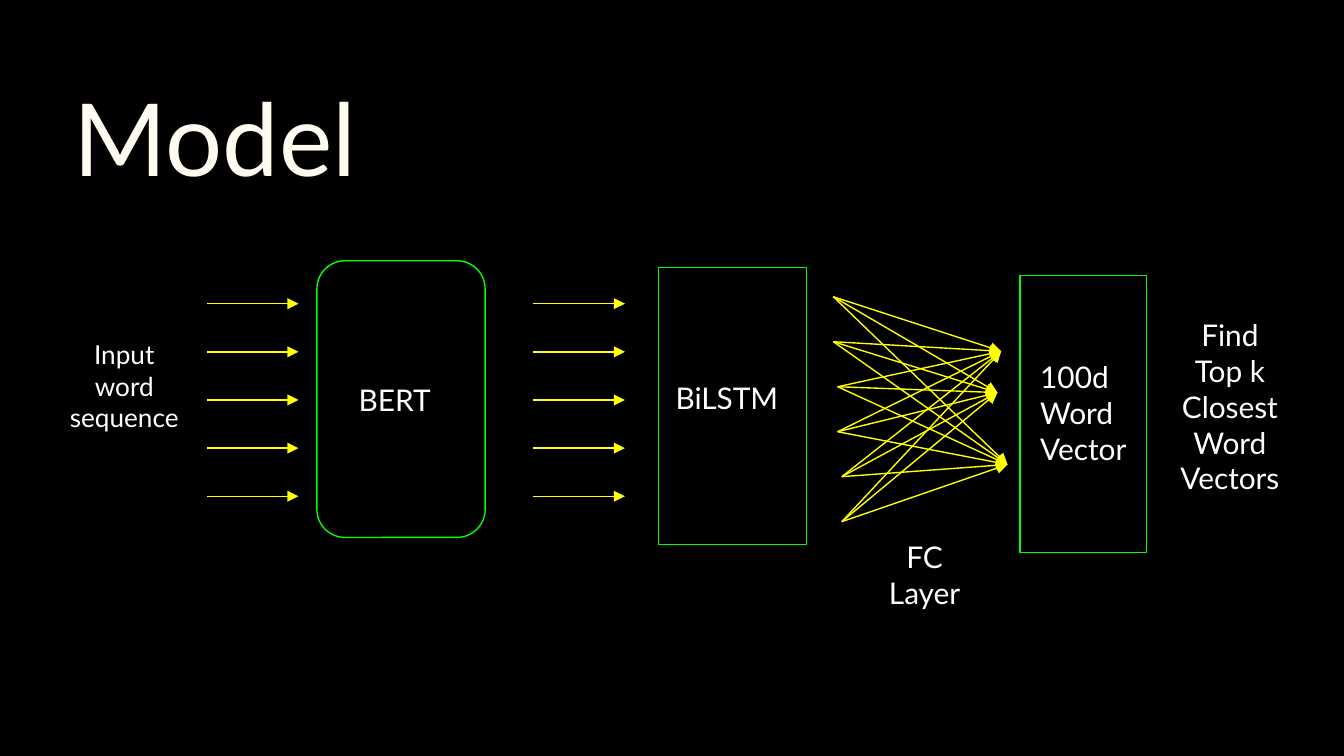
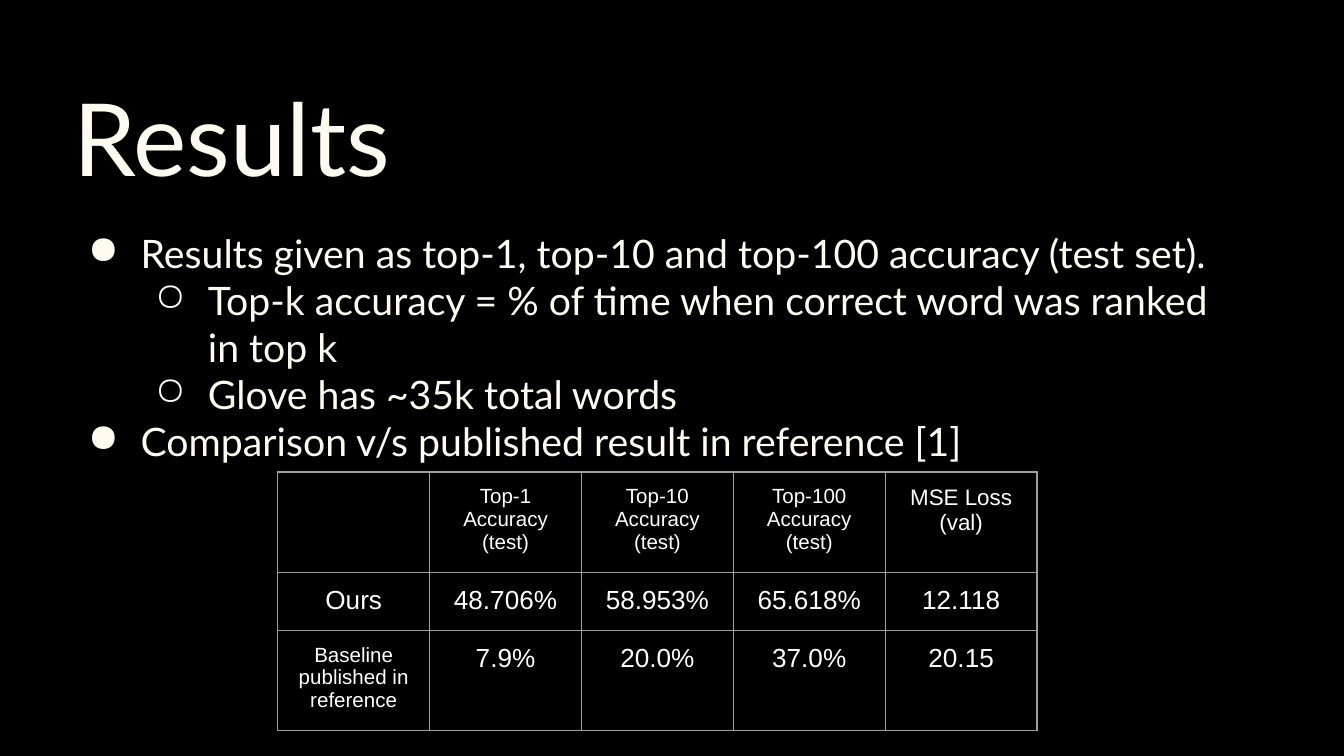
from lxml import etree
from pptx import Presentation
from pptx.dml.color import RGBColor
from pptx.enum.shapes import MSO_CONNECTOR, MSO_SHAPE
from pptx.enum.text import MSO_ANCHOR, MSO_AUTO_SIZE, PP_ALIGN
from pptx.oxml.ns import qn
from pptx.util import Cm, Pt

STRAIGHT = MSO_CONNECTOR.STRAIGHT
RECTANGLE, ROUNDED = MSO_SHAPE.RECTANGLE, MSO_SHAPE.ROUNDED_RECTANGLE
MIDDLE = MSO_ANCHOR.MIDDLE
NO_FIT, GROW = MSO_AUTO_SIZE.NONE, MSO_AUTO_SIZE.SHAPE_TO_FIT_TEXT
LEFT, CENTER = PP_ALIGN.LEFT, PP_ALIGN.CENTER

BLACK, WHITE, CREAM = "000000", "FFFFFF", "FFFBF0"
GREEN, YELLOW, GREY = "00FF00", "FFFF00", "9E9E9E"
LATO, ARIAL = "Lato", "Arial"
INSET = 0.25
LINE_WIDTH = Pt(0.75)
TITLE_ONLY = 5

BULLETS = [
    (0, "Results given as top-1, top-10 and top-100 accuracy (test set)."),
    (1, "Top-k accuracy = % of time when correct word was ranked in top k"),
    (1, "Glove has ~35k total words"),
    (0, "Comparison v/s published result in reference [1]"),
]
ACCURACIES = [
    [("", 11), ("Top-1 Accuracy (test)", 11), ("Top-10 Accuracy\n(test)", 11),
     ("Top-100 Accuracy\n(test)", 11), ("MSE Loss\n(val)", 12)],
    [("Ours", 14), ("48.706%", 14), ("58.953%", 14), ("65.618%", 14), ("12.118", 14)],
    [("Baseline published in reference", 11), ("7.9%", 14), ("20.0%", 14),
     ("37.0%", 14), ("20.15", 14)],
]
ROW_HEIGHTS = [1.8, 1.07, 1.9]
COLUMN_WIDTH = 2.87


def rgb(hex_code):
    """Turn a hex string into a colour."""
    return RGBColor.from_string(hex_code)


def style(paragraph, size, color, font=LATO, align=LEFT):
    """Format one paragraph."""
    paragraph.alignment = align
    paragraph.font.size = Pt(size)
    paragraph.font.name = font
    paragraph.font.color.rgb = rgb(color)


def set_insets(target):
    """Give a text frame or table cell equal insets."""
    target.margin_left = target.margin_right = Cm(INSET)
    target.margin_top = target.margin_bottom = Cm(INSET)


def titled_slide(prs, heading, width):
    """Add a black slide with its large title."""
    slide = prs.slides.add_slide(prs.slide_layouts[TITLE_ONLY])
    slide.background.fill.solid()
    slide.background.fill.fore_color.rgb = rgb(BLACK)
    title = slide.shapes.title
    title.left, title.top, title.width, title.height = Cm(1.14), Cm(0.97), Cm(width), Cm(3.2)
    frame = title.text_frame
    frame.text = heading
    frame.auto_size, frame.vertical_anchor = NO_FIT, MIDDLE
    set_insets(frame)
    style(frame.paragraphs[0], 54, CREAM)
    return slide


def add_label(slide, text, left, top, width, height, align=LEFT, size=16):
    """Add a black label with white text."""
    label = slide.shapes.add_textbox(Cm(left), Cm(top), Cm(width), Cm(height))
    label.fill.solid()
    label.fill.fore_color.rgb = rgb(BLACK)
    frame = label.text_frame
    frame.word_wrap, frame.auto_size = True, GROW
    set_insets(frame)
    frame.text = text
    for paragraph in frame.paragraphs:
        style(paragraph, size, WHITE, align=align)


def add_block(slide, kind, left, top, width):
    """Add the green outline of a model stage."""
    block = slide.shapes.add_shape(kind, Cm(left), Cm(top), Cm(width), Cm(5.23))
    block.shadow.inherit = False
    block.fill.background()
    block.line.color.rgb = rgb(GREEN)
    block.line.width = LINE_WIDTH


def add_arrow(slide, start, end):
    """Add a yellow arrow between two points."""
    arrow = slide.shapes.add_connector(STRAIGHT, *(Cm(v) for v in (*start, *end)))
    arrow.line.color.rgb = rgb(YELLOW)
    arrow.line.width = LINE_WIDTH
    properties = arrow._element.spPr
    etree.SubElement(properties.find(qn("a:ln")), qn("a:tailEnd"), type="triangle")
    etree.SubElement(properties, qn("a:effectLst"))


def add_parallel_arrows(slide, left, top):
    """Add five level arrows at equal gaps."""
    for row in range(5):
        y = top + 0.91 * row
        add_arrow(slide, (left, y), (left + 1.73, y))


def add_dense_layer(slide, left, top):
    """Join six inputs to each of three outputs."""
    outputs = [(3.29, 3.17), (3.17, 1.03), (3.1, 1.81)]
    for i in range(6):
        start = (left + 0.08 * (i // 2), top + 0.85 * i)
        for x, y in outputs:
            add_arrow(slide, start, (left + x, top + y))


def add_model_diagram(slide, left, top):
    """Lay out the model from input words to closest vectors."""
    add_parallel_arrows(slide, left + 2.92, top + 0.81)
    add_block(slide, ROUNDED, left + 5, top, 3.18)
    add_label(slide, "BERT", left + 5.54, top + 2.03, 2.13, 1.19)
    add_label(slide, "Input word sequence", left, top + 1.22, 2.72, 2.31, CENTER, 14)
    add_block(slide, RECTANGLE, left + 11.46, top + 0.13, 2.79)
    add_label(slide, "BiLSTM", left + 11.53, top + 2, 2.67, 1.19)
    add_parallel_arrows(slide, left + 9.09, top + 0.81)
    add_dense_layer(slide, left + 14.76, top + 0.68)
    add_block(slide, RECTANGLE, left + 18.29, top + 0.28, 2.39)
    add_label(slide, "100d\nWord\nVector", left + 18.42, top + 1.6, 2.13, 2.57)
    add_label(slide, "FC Layer", left + 15.29, top + 5, 2.39, 1.88, CENTER)
    add_label(slide, "Find\nTop k\nClosest\nWord\nVectors",
              left + 21.06, top + 0.81, 2.39, 3.94, CENTER)


def add_bullets(slide, left, top, width, height):
    """Add the two-level list of findings."""
    findings = slide.shapes.add_textbox(Cm(left), Cm(top), Cm(width), Cm(height))
    frame = findings.text_frame
    frame.word_wrap, frame.vertical_anchor = True, MIDDLE
    set_insets(frame)
    frame.margin_bottom = Cm(1.14)
    frame.text = "\n".join(text for _, text in BULLETS)
    for paragraph, (level, _) in zip(frame.paragraphs, BULLETS):
        paragraph.level = level
        properties = paragraph._p.get_or_add_pPr()
        properties.set("marL", str(Cm(1.27 * (level + 1))))
        properties.set("indent", str(-Cm(1)))
        color = etree.SubElement(properties, qn("a:buClr"))
        etree.SubElement(color, qn("a:srgbClr"), val=CREAM)
        etree.SubElement(properties, qn("a:buChar"), char="●○"[level])
        style(paragraph, 21, CREAM)


def set_borders(cell):
    """Draw thin grey lines on all sides of a cell."""
    properties = cell._tc.get_or_add_tcPr()
    for position, side in enumerate(("lnL", "lnR", "lnT", "lnB")):
        border = etree.Element(qn(f"a:{side}"), w=str(LINE_WIDTH))
        fill = etree.SubElement(border, qn("a:solidFill"))
        etree.SubElement(fill, qn("a:srgbClr"), val=GREY)
        properties.insert(position, border)


def add_accuracy_table(slide, left, top):
    """Add the comparison with the published baseline."""
    columns = len(ACCURACIES[0])
    table = slide.shapes.add_table(
        len(ACCURACIES), columns, Cm(left), Cm(top),
        Cm(COLUMN_WIDTH * columns), Cm(sum(ROW_HEIGHTS))).table
    table.first_row = table.horz_banding = False
    for column in table.columns:
        column.width = Cm(COLUMN_WIDTH)
    for r, (height, entries) in enumerate(zip(ROW_HEIGHTS, ACCURACIES)):
        table.rows[r].height = Cm(height)
        for c, (text, size) in enumerate(entries):
            cell = table.cell(r, c)
            cell.text = text
            cell.fill.background()
            set_insets(cell)
            set_borders(cell)
            for paragraph in cell.text_frame.paragraphs:
                style(paragraph, size, WHITE, ARIAL, CENTER)


def main():
    """Build both slides."""
    prs = Presentation()
    prs.slide_width, prs.slide_height = Cm(25.4), Cm(14.29)
    model = titled_slide(prs, "Model", 9.12)
    add_model_diagram(model, 0.99, 4.93)
    results = titled_slide(prs, "Results", 21.29)
    add_bullets(results, 1.14, 3.68, 22.23, 6.63)
    add_accuracy_table(results, 5.25, 8.92)
    prs.save("out.pptx")


if __name__ == "__main__":
    main()
